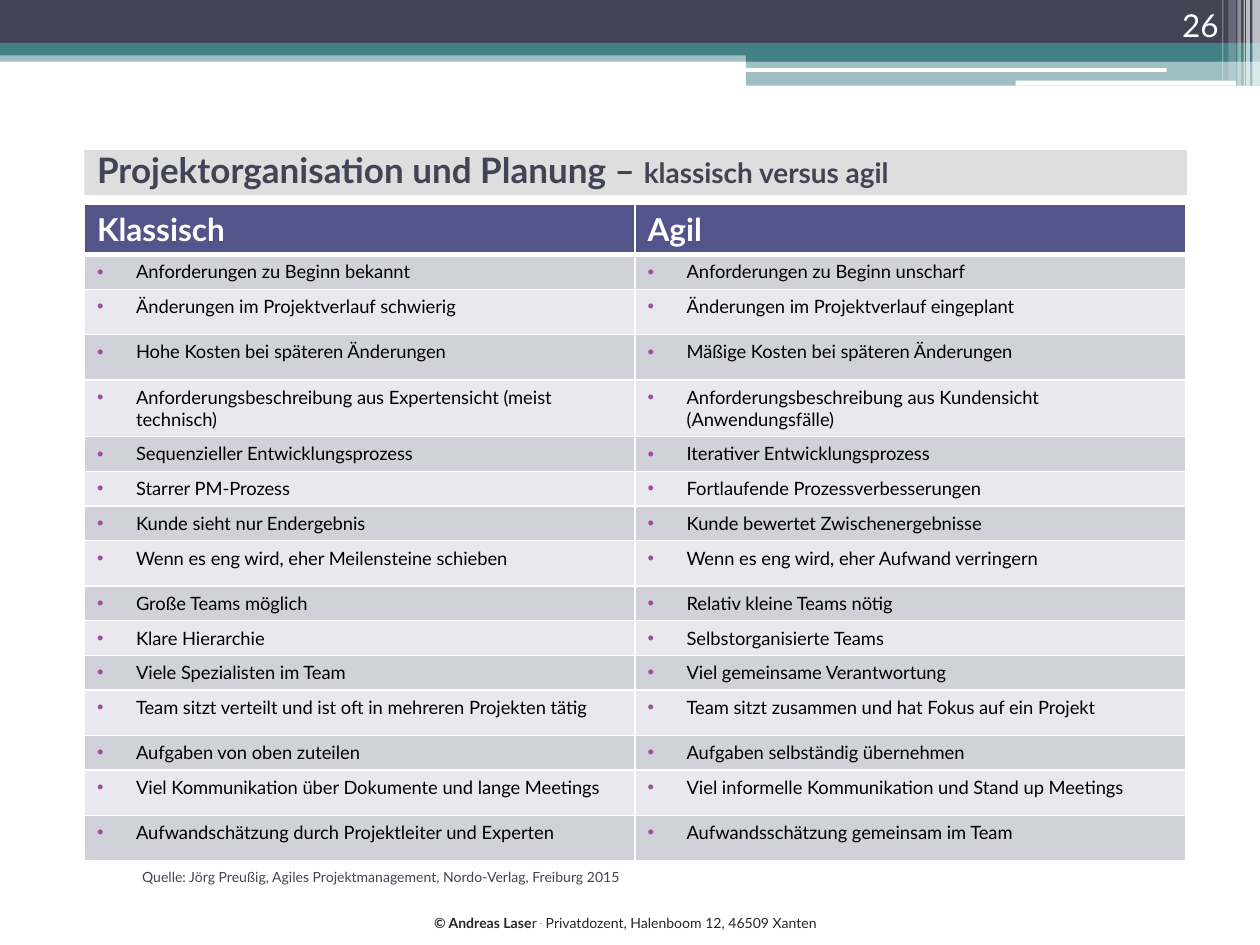
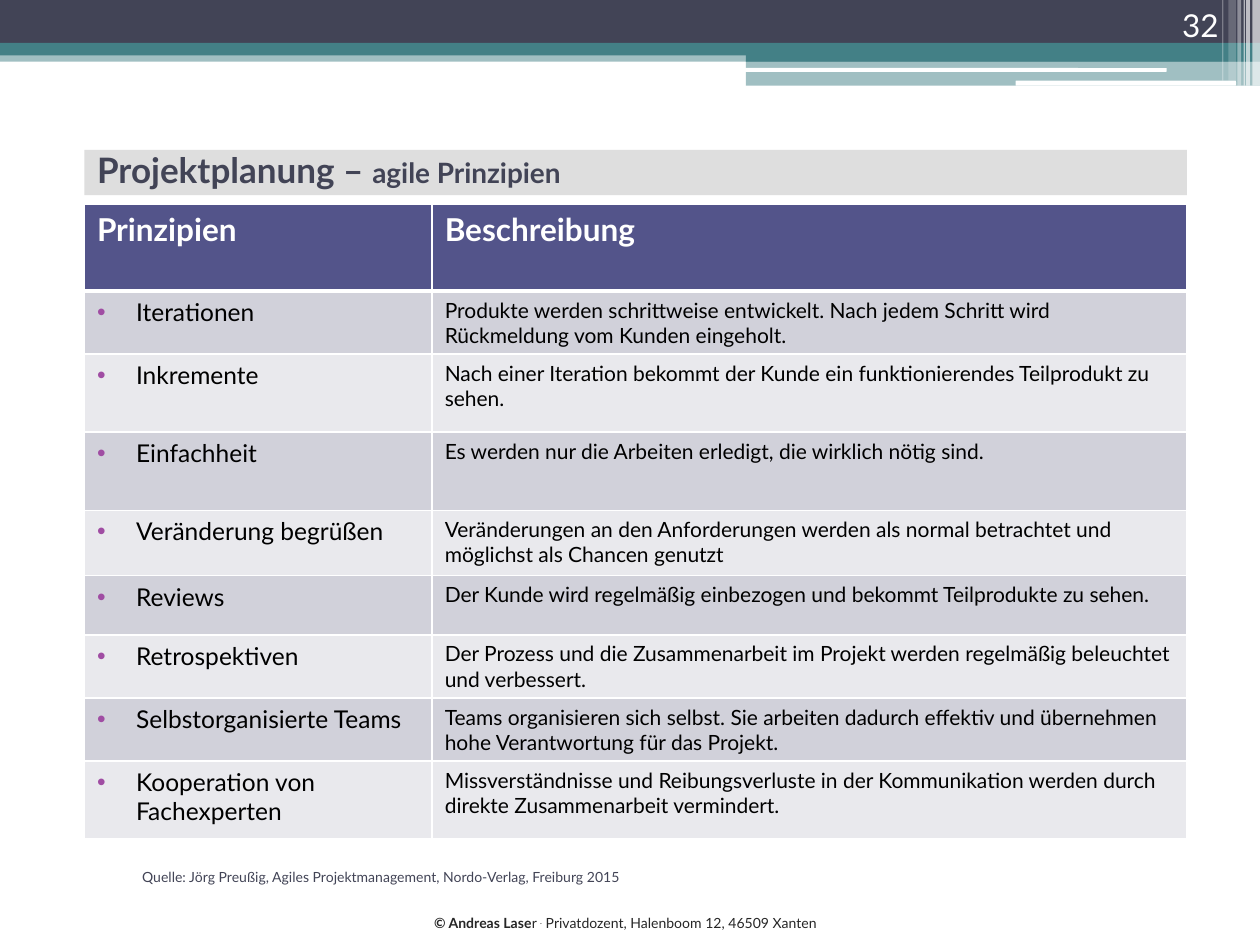
from dataclasses import dataclass

from lxml import etree
from pptx import Presentation
from pptx.dml.color import RGBColor
from pptx.enum import shapes, text
from pptx.oxml import ns
from pptx.util import Emu, Inches, Pt

FONT = "Lato"
WHITE = RGBColor(0xFF, 0xFF, 0xFF)
BLACK = RGBColor(0x00, 0x00, 0x00)
SLATE = RGBColor(0x42, 0x44, 0x56)
TEAL = RGBColor(0x43, 0x80, 0x86)
INDIGO = RGBColor(0x53, 0x54, 0x8A)
PURPLE = RGBColor(0xA0, 0x4D, 0xA3)
CHARCOAL = RGBColor(0x26, 0x26, 0x26)
TITLE_GREY = RGBColor(0xDE, 0xDE, 0xDE)
ROW_FILLS = (RGBColor(0xD1, 0xD1, 0xDA), RGBColor(0xE9, 0xE9, 0xED))

RECT = shapes.MSO_SHAPE.RECTANGLE
ROUND = shapes.MSO_SHAPE.ROUNDED_RECTANGLE
SOURCE = "Quelle: Jörg Preußig, Agiles Projektmanagement, Nordo-Verlag, Freiburg 2015"


@dataclass(frozen=True)
class Band:
    left: float
    top: float
    width: float
    height: float
    color: RGBColor
    alpha: int = 100
    kind: shapes.MSO_SHAPE = RECT


@dataclass(frozen=True)
class Column:
    heading: str
    width: float
    size: float
    bulleted: bool = True


@dataclass(frozen=True)
class Page:
    number: int
    title: str
    subtitle: str
    columns: tuple[Column, ...]
    header_height: float
    rows: tuple[tuple[float, str, str], ...]


HEADER_BANDS = (
    Band(0, 0.4, 10, 0.09, TEAL, 50),
    Band(0, 0, 10, 0.34, SLATE),
    Band(0, 0.34, 10, 0.1, TEAL),
    Band(5.92, 0.39, 4.08, 0.1, TEAL),
    Band(5.92, 0.48, 4.08, 0.2, TEAL, 50),
    Band(5.91, 0.54, 3.35, 0.03, WHITE, kind=ROUND),
    Band(8.06, 0.64, 1.75, 0.04, WHITE, kind=ROUND),
    Band(9.94, 0, 0.06, 0.68, WHITE, 65),
    Band(9.89, 0, 0.03, 0.68, WHITE, 65),
    Band(9.87, 0, 0.01, 0.68, WHITE, 60),
    Band(9.82, 0, 0.03, 0.68, WHITE, 40),
    Band(9.75, 0, 0.06, 0.64, WHITE, 20),
    Band(9.7, 0, 0.01, 0.64, WHITE, 30),
)
TITLE_BAND = Band(0.67, 1.19, 8.75, 0.36, TITLE_GREY)

PAGES = (
    Page(
        26, "Projektorganisation und Planung – ", "klassisch versus agil",
        (Column("Klassisch", 4.37, 10.5), Column("Agil", 4.37, 10.5)),
        0.36,
        (
            (0.24, "Anforderungen zu Beginn bekannt", "Anforderungen zu Beginn unscharf"),
            (0.36, "Änderungen im Projektverlauf schwierig",
             "Änderungen im Projektverlauf eingeplant"),
            (0.36, "Hohe Kosten bei späteren Änderungen",
             "Mäßige Kosten bei späteren Änderungen"),
            (0.39, "Anforderungsbeschreibung aus Expertensicht (meist technisch)",
             "Anforderungsbeschreibung aus Kundensicht (Anwendungsfälle)"),
            (0.24, "Sequenzieller Entwicklungsprozess", "Iterativer Entwicklungsprozess"),
            (0.24, "Starrer PM-Prozess", "Fortlaufende Prozessverbesserungen"),
            (0.24, "Kunde sieht nur Endergebnis", "Kunde bewertet Zwischenergebnisse"),
            (0.36, "Wenn es eng wird, eher Meilensteine schieben",
             "Wenn es eng wird, eher Aufwand verringern"),
            (0.24, "Große Teams möglich", "Relativ kleine Teams nötig"),
            (0.24, "Klare Hierarchie", "Selbstorganisierte Teams"),
            (0.24, "Viele Spezialisten im Team", "Viel gemeinsame Verantwortung"),
            (0.36, "Team sitzt verteilt und ist oft in mehreren Projekten tätig",
             "Team sitzt zusammen und hat Fokus auf ein Projekt"),
            (0.24, "Aufgaben von oben zuteilen", "Aufgaben selbständig übernehmen"),
            (0.36, "Viel Kommunikation über Dokumente und lange Meetings",
             "Viel informelle Kommunikation und Stand up Meetings"),
            (0.36, "Aufwandschätzung durch Projektleiter und Experten",
             "Aufwandsschätzung gemeinsam im Team"),
        ),
    ),
    Page(
        32, "Projektplanung – ", "agile Prinzipien",
        (Column("Prinzipien", 2.76, 14), Column("Beschreibung", 5.99, 12, False)),
        0.69,
        (
            (0.47, "Iterationen",
             "Produkte werden schrittweise entwickelt. Nach jedem Schritt wird "
             "Rückmeldung vom Kunden eingeholt."),
            (0.62, "Inkremente",
             "Nach einer Iteration bekommt der Kunde ein funktionierendes "
             "Teilprodukt zu sehen."),
            (0.62, "Einfachheit",
             "Es werden nur die Arbeiten erledigt, die wirklich nötig sind."),
            (0.52, "Veränderung begrüßen",
             "Veränderungen an den Anforderungen werden als normal betrachtet und "
             "möglichst als Chancen genutzt"),
            (0.47, "Reviews",
             "Der Kunde wird regelmäßig einbezogen und bekommt Teilprodukte zu sehen."),
            (0.47, "Retrospektiven",
             "Der Prozess und die Zusammenarbeit im Projekt werden regelmäßig "
             "beleuchtet und verbessert."),
            (0.47, "Selbstorganisierte Teams",
             "Teams organisieren sich selbst. Sie arbeiten dadurch effektiv und "
             "übernehmen hohe Verantwortung für das Projekt."),
            (0.62, "Kooperation von Fachexperten",
             "Missverständnisse und Reibungsverluste in der Kommunikation werden "
             "durch direkte Zusammenarbeit vermindert."),
        ),
    ),
)


def add_run(p, content: str, *, size: float, color: RGBColor,
            bold: bool = False, baseline: int = 0) -> None:
    r = p.add_run()
    r.text = content
    r.font.name = FONT
    r.font.size = Pt(size)
    r.font.bold = bold
    r.font.color.rgb = color
    if baseline:
        r.font._element.set("baseline", str(baseline * 1000))


def add_color(parent, color: RGBColor) -> None:
    etree.SubElement(parent, ns.qn("a:srgbClr"), val=str(color))


def add_bullet(p) -> None:
    pPr = p._p.get_or_add_pPr()
    pPr.set("marL", str(Inches(0.31)))
    pPr.set("indent", str(-Inches(0.31)))
    add_color(etree.SubElement(pPr, ns.qn("a:buClr")), PURPLE)
    etree.SubElement(pPr, ns.qn("a:buFont"), typeface="Arial")
    etree.SubElement(pPr, ns.qn("a:buChar"), char="•")


def add_band(s, band: Band) -> None:
    sp = s.shapes.add_shape(band.kind, Inches(band.left), Inches(band.top),
                            Inches(band.width), Inches(band.height))
    sp.shadow.inherit = False
    sp.line.fill.background()
    sp.fill.solid()
    sp.fill.fore_color.rgb = band.color
    if band.alpha < 100:
        clr = sp.element.spPr.find(".//" + ns.qn("a:srgbClr"))
        etree.SubElement(clr, ns.qn("a:alpha"), val=str(band.alpha * 1000))


def add_text_box(s, left: float, top: float, width: float, height: float, *,
                 wrap: bool = True, grow: bool = False):
    tf = s.shapes.add_textbox(Inches(left), Inches(top),
                              Inches(width), Inches(height)).text_frame
    tf.word_wrap = wrap
    if grow:
        tf.auto_size = text.MSO_AUTO_SIZE.SHAPE_TO_FIT_TEXT
    return tf


def add_footer(s) -> None:
    p = add_text_box(s, 3.32, 7.21, 3.37, 0.24, wrap=False, grow=True).paragraphs[0]
    add_run(p, " © Andreas Lase", size=8, color=CHARCOAL, bold=True)
    add_run(p, "r ", size=8, color=CHARCOAL)
    add_run(p, ".", size=8, color=CHARCOAL, baseline=30)
    add_run(p, " Privatdozent, Halenboom 12, 46509 Xanten", size=8, color=CHARCOAL)


def add_title(s, page: Page) -> None:
    add_band(s, TITLE_BAND)
    title = s.shapes.title
    s.shapes.element.append(title.element)
    title.left, title.top = Inches(0.67), Inches(0.76)
    title.width, title.height = Inches(8.84), Inches(1.17)
    tf = title.text_frame
    tf.auto_size = text.MSO_AUTO_SIZE.NONE
    tf.vertical_anchor = text.MSO_ANCHOR.MIDDLE
    p = tf.paragraphs[0]
    p.alignment = text.PP_ALIGN.LEFT
    add_run(p, page.title, size=20, color=SLATE, bold=True)
    add_run(p, page.subtitle, size=16, color=SLATE, bold=True)


def add_page_number(s, number: int) -> None:
    tf = add_text_box(s, 8.94, 0, 0.83, 0.4)
    tf.vertical_anchor = text.MSO_ANCHOR.BOTTOM
    p = tf.paragraphs[0]
    p.alignment = text.PP_ALIGN.RIGHT
    add_run(p, str(number), size=18, color=WHITE)


def format_cell(cell, fill: RGBColor, top: int, bottom: int) -> None:
    cell.fill.solid()
    cell.fill.fore_color.rgb = fill
    tcPr = cell._tc.get_or_add_tcPr()
    borders = (("a:lnL", 1), ("a:lnR", 1), ("a:lnT", top), ("a:lnB", bottom))
    for i, (tag, width) in enumerate(borders):
        ln = etree.Element(ns.qn(tag), w=str(Pt(width)))
        add_color(etree.SubElement(ln, ns.qn("a:solidFill")), WHITE)
        tcPr.insert(i, ln)


def add_page_table(s, page: Page) -> None:
    heights = (page.header_height, *(row[0] for row in page.rows))
    widths = [Inches(column.width) for column in page.columns]
    table = s.shapes.add_table(len(heights), len(widths), Inches(0.67), Inches(1.62),
                               Emu(sum(widths)), Inches(sum(heights))).table
    table.horz_banding = False
    for i, height in enumerate(heights):
        table.rows[i].height = Inches(height)
    for c, column in enumerate(page.columns):
        table.columns[c].width = widths[c]
        head = table.cell(0, c)
        format_cell(head, INDIGO, 1, 3)
        add_run(head.text_frame.paragraphs[0], column.heading,
                size=18, color=WHITE, bold=True)
        for i, row in enumerate(page.rows):
            cell = table.cell(i + 1, c)
            format_cell(cell, ROW_FILLS[i % 2], 3 if i == 0 else 1, 1)
            p = cell.text_frame.paragraphs[0]
            if column.bulleted:
                add_bullet(p)
            add_run(p, row[c + 1], size=column.size, color=BLACK)


def add_source(s) -> None:
    p = add_text_box(s, 0.71, 6.82, 5, 0.25, grow=True).paragraphs[0]
    p.level = 1
    p.line_spacing = 1.2
    pPr = p._p.get_or_add_pPr()
    pPr.set("marL", str(Inches(0.32)))
    pPr.set("indent", "0")
    add_run(p, SOURCE, size=8, color=SLATE)


def build_page(prs, page: Page) -> None:
    s = prs.slides.add_slide(prs.slide_layouts[5])
    for band in HEADER_BANDS:
        add_band(s, band)
    add_footer(s)
    add_title(s, page)
    add_page_number(s, page.number)
    add_page_table(s, page)
    add_source(s)


def main() -> None:
    prs = Presentation()
    prs.slide_width, prs.slide_height = Inches(10), Inches(7.5)
    for page in PAGES:
        build_page(prs, page)
    prs.save("out.pptx")


if __name__ == "__main__":
    main()
